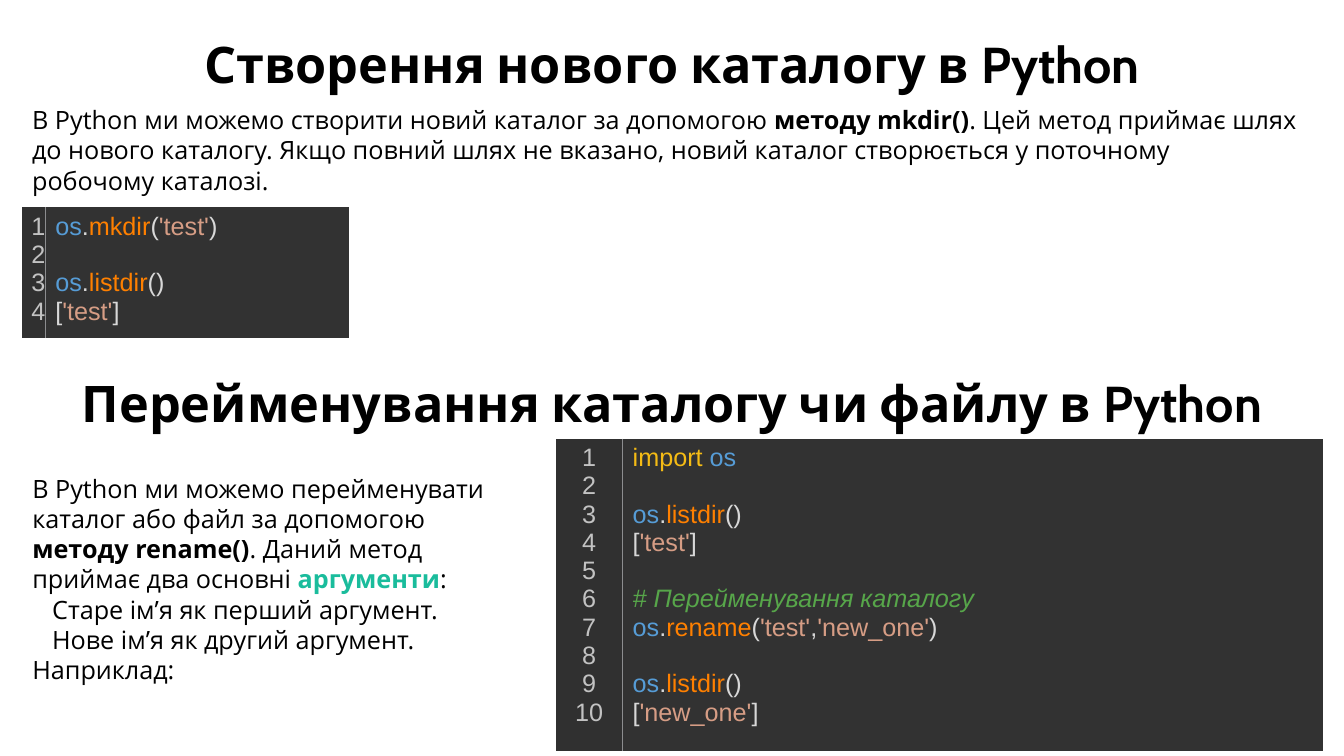
from lxml.etree import SubElement
from pptx import Presentation
from pptx.dml.color import RGBColor
from pptx.enum.text import MSO_ANCHOR, MSO_AUTO_SIZE, PP_ALIGN
from pptx.oxml.ns import qn
from pptx.util import Cm, Pt

BLACK, ACCENT = "000000", "1ABC9C"
GUTTER_FILL, CODE_FILL, RULE = "303030", "323232", "8C8D8F"
NUMBER, PLAIN, NAME, METHOD = "C2C2C2", "D8D8D8", "569CD6", "FF8000"
STRING, KEYWORD, COMMENT = "D69D85", "F4BB15", "57A64A"
NO_STYLE = "{2D5ABB26-0587-4C30-8999-92F81FD0307C}"
CODE_PITCH, PROSE_PITCH = Pt(20.2), Pt(21.6)


def rgb(value):
    return RGBColor.from_string(value)


def add_span(para, text, font, size, color, bold=False, italic=False):
    span = para.add_run()
    span.text = text
    span.font.name, span.font.size = font, Pt(size)
    span.font.bold, span.font.italic = bold, italic
    span.font.color.rgb = rgb(color)


def next_para(frame, index):
    return frame.paragraphs[0] if index == 0 else frame.add_paragraph()


def place(box, left, top, width, height):
    box.left, box.top, box.width, box.height = Cm(left), Cm(top), Cm(width), Cm(height)
    frame = box.text_frame
    frame.word_wrap = True
    frame.auto_size = MSO_AUTO_SIZE.NONE
    frame.vertical_anchor = MSO_ANCHOR.TOP
    return frame


def fill_heading(box, text, top):
    frame = place(box, 0, top, 33.87, 1.8)
    para = frame.paragraphs[0]
    para.alignment = PP_ALIGN.CENTER
    add_span(para, text, "Cabin", 36, BLACK, bold=True)


def fill_prose(box, place_at, paras):
    """Each paragraph is (indent in cm, [(text, colour, bold), ...])."""
    frame = place(box, *place_at)
    for index, (indent, spans) in enumerate(paras):
        para = next_para(frame, index)
        para.line_spacing, para.space_before = PROSE_PITCH, Pt(0)
        props = para._p.get_or_add_pPr()
        props.set("marL", str(Cm(indent)))
        props.set("indent", "0")
        SubElement(props, qn("a:buNone"))
        for text, color, bold in spans:
            add_span(para, text, "Open Sans", 18, color, bold)


def format_cell(cell, fill, border_side):
    props = cell._tc.get_or_add_tcPr()
    line = SubElement(props, qn(f"a:{border_side}"), w=str(Pt(0.6)))
    SubElement(SubElement(line, qn("a:solidFill")), qn("a:srgbClr"), val=RULE)
    cell.fill.solid()
    cell.fill.fore_color.rgb = rgb(fill)


def add_code(page, left, top, widths, height, lines, number_margins):
    """Numbered listing; an empty line becomes space before the next one."""
    frame = page.shapes.add_table(1, 2, Cm(left), Cm(top), Cm(sum(widths)), Cm(height))
    table = frame.table
    table._tbl.tblPr.find(qn("a:tableStyleId")).text = NO_STYLE
    table.first_row = table.horz_banding = False
    for column, width in zip(table.columns, widths):
        column.width = Cm(width)
    numbers, code = table.cell(0, 0), table.cell(0, 1)
    format_cell(numbers, GUTTER_FILL, "lnR")
    format_cell(code, CODE_FILL, "lnL")
    numbers.margin_left, numbers.margin_right = map(Cm, number_margins)

    for index in range(len(lines)):
        para = next_para(numbers.text_frame, index)
        para.alignment, para.line_spacing = PP_ALIGN.CENTER, CODE_PITCH
        add_span(para, str(index + 1), "Arial", 18, NUMBER)

    written = [index for index, line in enumerate(lines) if line]
    previous = -1
    for order, index in enumerate(written):
        para = next_para(code.text_frame, order)
        para.line_spacing = CODE_PITCH
        para.space_before = CODE_PITCH * (index - previous - 1)
        previous = index
        for text, color in lines[index]:
            add_span(para, text, "Arial", 18, color, italic=color == COMMENT)


def os_call(method, *arguments):
    """Coloured parts of a call to a function of the os module."""
    parts = [("os", NAME), (".", PLAIN), (method, METHOD)]
    if not arguments:
        return parts + [("()", PLAIN)]
    for index, argument in enumerate(arguments):
        parts += [("," if index else "(", PLAIN), (argument, STRING)]
    return parts + [(")", PLAIN)]


def list_of(item):
    return [("[", PLAIN), (item, STRING), ("]", PLAIN)]


def main():
    deck = Presentation()
    deck.slide_width, deck.slide_height = Cm(33.87), Cm(19.05)
    page = deck.slides.add_slide(deck.slide_layouts[1])
    title, body = page.placeholders
    intro, subtitle = (page.shapes.add_textbox(0, 0, 0, 0) for _ in range(2))

    fill_heading(title, "Створення нового каталогу в Python", 0.71)
    fill_prose(intro, (0.56, 2.51, 32.41, 2.57), [
        (0, [("В Python ми можемо створити новий каталог за допомогою\u00a0".replace("\u00a0", " "), BLACK, False),
             ("методу mkdir()", BLACK, True),
             (". Цей метод приймає шлях до нового каталогу. Якщо повний шлях не вказано, "
              "новий каталог створюється у поточному робочому каталозі.", BLACK, False)]),
    ])
    add_code(page, 0.56, 5.22, (0.58, 7.65), 3.3, [
        os_call("mkdir", "'test'"),
        [],
        os_call("listdir"),
        list_of("'test'"),
    ], (0.23, 0))

    fill_heading(subtitle, "Перейменування каталогу чи файлу в Python", 9.25)
    fill_prose(body, (0.56, 11.79, 12.9, 6.4), [
        (0, [("В Python ми можемо перейменувати каталог або файл за допомогою ", BLACK, False),
             ("методу rename()", BLACK, True),
             (". Даний метод приймає два основні ", BLACK, False),
             ("аргументи", ACCENT, True),
             (":", BLACK, False)]),
        (0.5, [("Старе ім’я як перший аргумент.", BLACK, False)]),
        (0.5, [("Нове ім’я як другий аргумент.", BLACK, False)]),
        (0, [("Наприклад:", BLACK, False)]),
    ])
    add_code(page, 14, 11.05, (1.69, 17.64), 7.88, [
        [("import ", KEYWORD), ("os", NAME)],
        [],
        os_call("listdir"),
        list_of("'test'"),
        [],
        [("# Перейменування каталогу", COMMENT)],
        os_call("rename", "'test'", "'new_one'"),
        [],
        os_call("listdir"),
        list_of("'new_one'"),
    ], (0.25, 0.25))
    deck.save("out.pptx")


if __name__ == "__main__":
    main()
